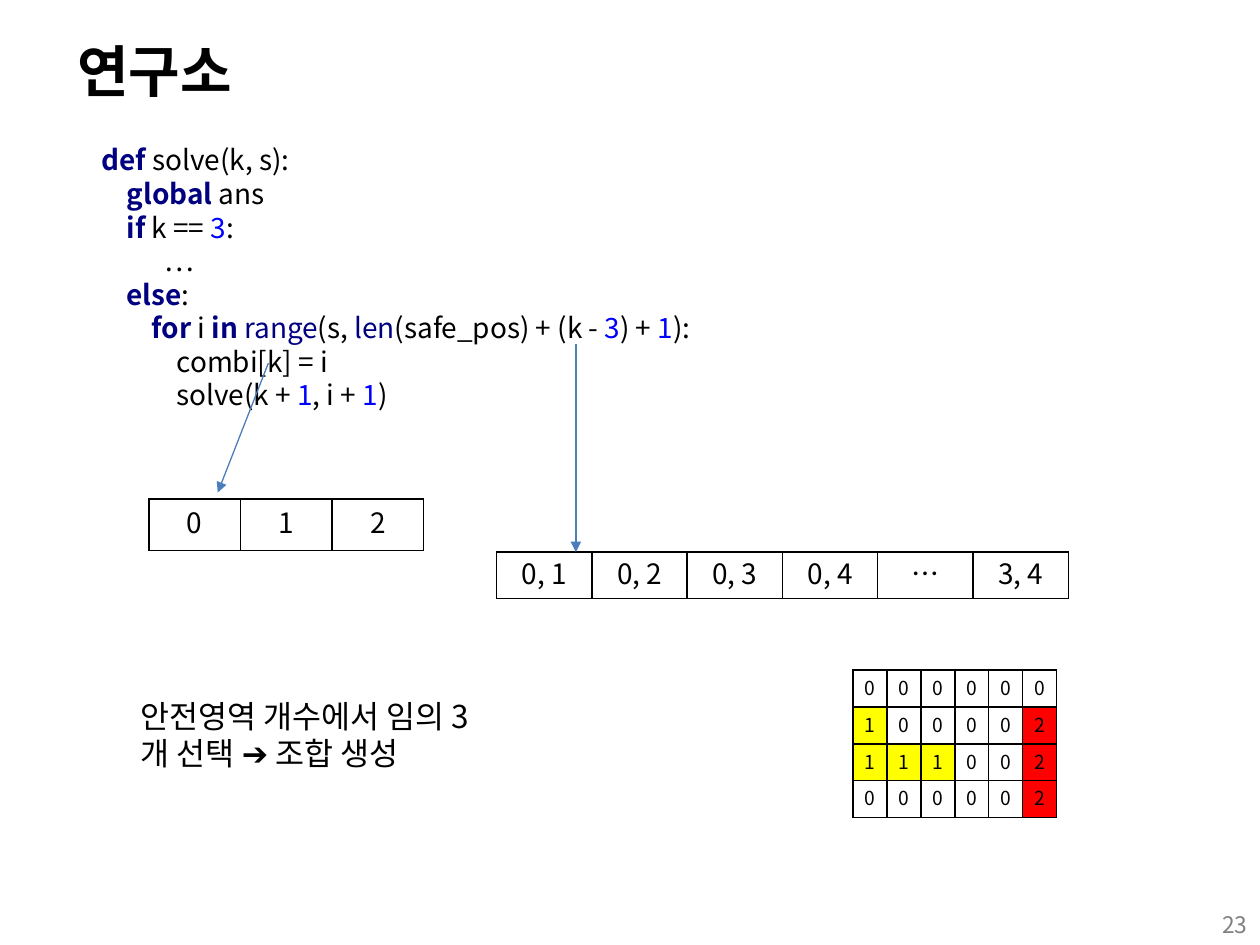
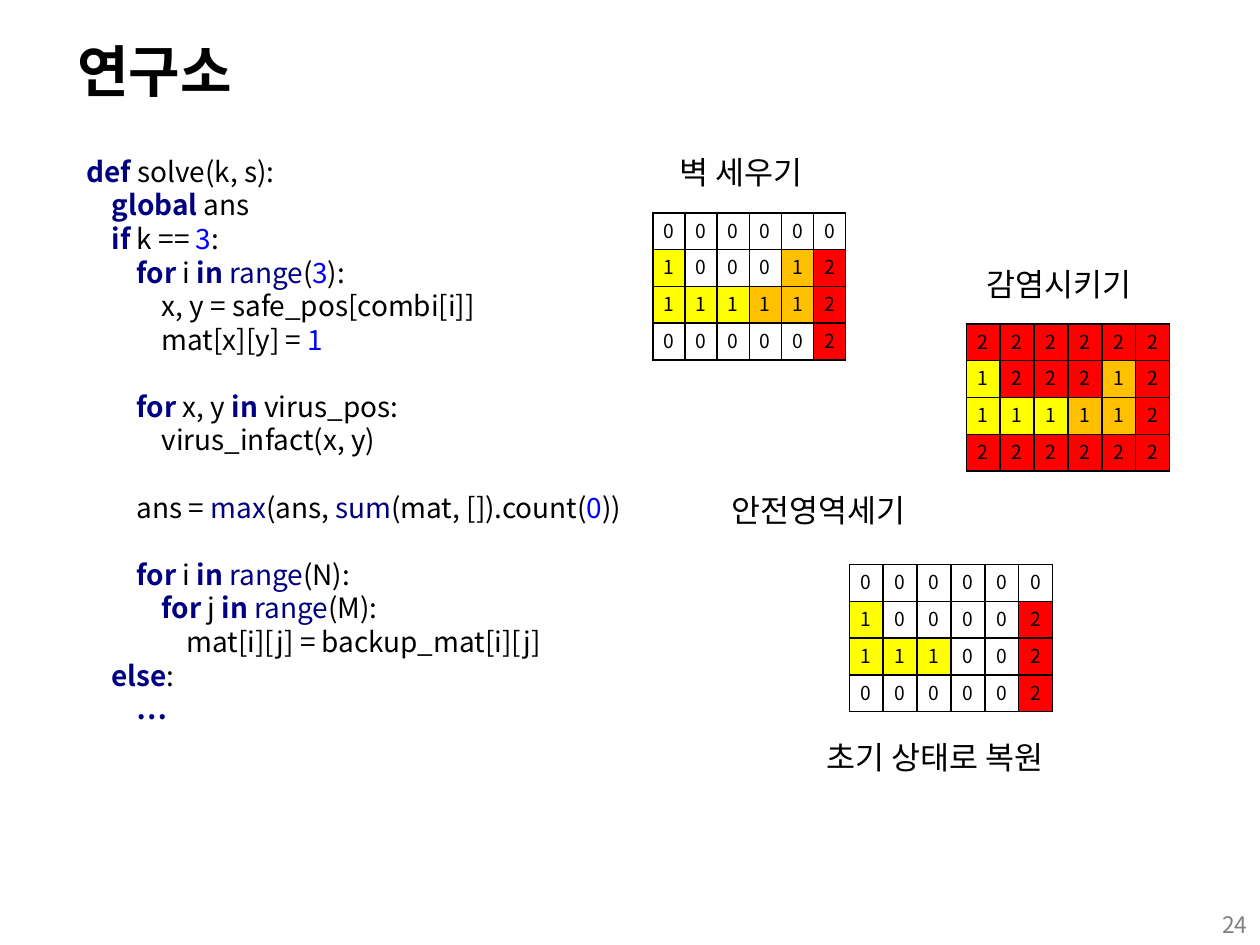
from dataclasses import dataclass
from itertools import groupby

from lxml.etree import SubElement
from pptx import Presentation
from pptx.dml.color import RGBColor
from pptx.enum.shapes import MSO_CONNECTOR, MSO_SHAPE
from pptx.enum.text import MSO_ANCHOR, MSO_AUTO_SIZE, PP_ALIGN
from pptx.oxml.ns import qn
from pptx.slide import Slide
from pptx.text.text import TextFrame
from pptx.util import Cm, Pt

FONT = "Noto Sans CJK KR"
BLACK = RGBColor(0x00, 0x00, 0x00)
WHITE = RGBColor(0xFF, 0xFF, 0xFF)
GRAY = RGBColor(0x80, 0x80, 0x80)
NAVY = RGBColor(0x00, 0x00, 0x80)
BLUE = RGBColor(0x00, 0x00, 0xFF)
ARROW_BLUE = RGBColor(0x4B, 0x7E, 0xBC)
YELLOW = RGBColor(0xFF, 0xFF, 0x00)
ORANGE = RGBColor(0xFF, 0xC0, 0x00)
RED = RGBColor(0xFF, 0x00, 0x00)

NEW_WALL = "W"
GRID_FILLS = {"1": YELLOW, NEW_WALL: ORANGE, "2": RED}
KEYWORDS = {"def", "global", "if", "else", "for", "in"}
BUILTINS = {"range", "len", "max", "sum"}

INITIAL_MAP = ["000000", "100002", "111002", "000002"]
WALLED_MAP = ["000000", "1000W2", "111WW2", "000002"]
INFECTED_MAP = ["222222", "1222W2", "111WW2", "222222"]

COMBINATION_CODE = """def solve(k, s):
    global ans
    if k == 3:
\t…
    else:
        for i in range(s, len(safe_pos) + (k - 3) + 1):
            combi[k] = i
            solve(k + 1, i + 1)"""

SIMULATION_CODE = """def solve(k, s):
    global ans
    if k == 3:
        for i in range(3):
            x, y = safe_pos[combi[i]]
            mat[x][y] = 1

        for x, y in virus_pos:
            virus_infact(x, y)

        ans = max(ans, sum(mat, []).count(0))

        for i in range(N):
            for j in range(M):
                mat[i][j] = backup_mat[i][j]
    else:
        …"""


@dataclass(frozen=True)
class Box:
    left: float
    top: float
    width: float
    height: float

    def lengths(self) -> tuple[Cm, Cm, Cm, Cm]:
        return Cm(self.left), Cm(self.top), Cm(self.width), Cm(self.height)


@dataclass(frozen=True)
class Label:
    text: str
    box: Box


@dataclass(frozen=True)
class Arrow:
    start: tuple[float, float]
    end: tuple[float, float]


@dataclass(frozen=True)
class MapGrid:
    rows: list[str]
    box: Box


@dataclass(frozen=True)
class ValueRow:
    values: list[str]
    box: Box


TITLE_BOX = Box(1.3, 0.76, 24.26, 2.21)
NUMBER_BOX = Box(19.48, 18.24, 5.92, 1.02)

VALUE_ROWS = [
    ValueRow(["0, 1", "0, 2", "0, 3", "0, 4", "…", "3, 4"], Box(10.01, 11.13, 11.53, 0.93)),
    ValueRow(["0", "1", "2"], Box(3, 10.06, 5.54, 1.04)),
]
ARROWS = [Arrow((11.61, 6.93), (11.61, 11.13)), Arrow((5.41, 7.32), (4.39, 9.93))]

STEP_LABELS = [
    Label("벽 세우기", Box(13.44, 2.97, 3.81, 1.02)),
    Label("감염시키기", Box(19.63, 5.21, 3.81, 1.02)),
    Label("안전영역세기", Box(14.5, 9.78, 4.67, 1.02)),
    Label("초기 상태로 복원", Box(16.41, 14.76, 5.49, 1.02)),
]
STEP_GRIDS = [
    MapGrid(WALLED_MAP, Box(13.16, 4.29, 3.89, 2.97)),
    MapGrid(INFECTED_MAP, Box(19.48, 6.53, 4.1, 2.97)),
    MapGrid(INITIAL_MAP, Box(17.12, 11.38, 4.1, 2.97)),
]


def write_text(frame: TextFrame, text: str, *, size: float, color: RGBColor = BLACK,
               bold: bool = False, align: PP_ALIGN = PP_ALIGN.LEFT,
               line_spacing: float | Pt | None = None) -> None:
    paragraph = frame.paragraphs[0]
    paragraph.alignment = align
    paragraph.line_spacing = line_spacing or Pt(1.2 * size)
    for index, line in enumerate(text.split("\n")):
        if index:
            paragraph.add_line_break()
        if not line:
            continue
        run = paragraph.add_run()
        run.text = line
        font = run.font
        font.name, font.size, font.bold = FONT, Pt(size), bold
        font.color.rgb = color
        SubElement(font._element, qn("a:ea")).set("typeface", FONT)


def token_style(token: str, keywords: set[str]) -> tuple[RGBColor, bool]:
    if token in keywords:
        return NAVY, True
    if token in BUILTINS:
        return NAVY, False
    return (BLUE if token.isdigit() else BLACK), False


def add_code(slide: Slide, code: str, box: Box, keywords: set[str]) -> None:
    shape = slide.shapes.add_shape(MSO_SHAPE.RECTANGLE, *box.lengths())
    shape.shadow.inherit = False
    shape.fill.solid()
    shape.fill.fore_color.rgb = WHITE
    shape.line.fill.background()
    frame = shape.text_frame
    frame.word_wrap = True
    frame.vertical_anchor = MSO_ANCHOR.MIDDLE
    words = groupby(code, key=lambda letter: letter.isalnum() or letter in "_…")
    tokens = ["".join(letters) for _, letters in words]
    for (color, bold), group in groupby(tokens, key=lambda token: token_style(token, keywords)):
        write_text(frame, "".join(group), size=16, color=color, bold=bold)


def add_label(slide: Slide, label: Label, *, size: float = 18, color: RGBColor = BLACK,
              align: PP_ALIGN = PP_ALIGN.LEFT) -> None:
    frame = slide.shapes.add_textbox(*label.box.lengths()).text_frame
    frame.word_wrap = True
    frame.auto_size = MSO_AUTO_SIZE.NONE
    write_text(frame, label.text, size=size, color=color, align=align)


def add_borders(cell) -> None:
    properties = cell._tc.get_or_add_tcPr()
    for side in ("lnL", "lnR", "lnT", "lnB"):
        line = SubElement(properties, qn(f"a:{side}"), w=str(Pt(1)))
        fill = SubElement(line, qn("a:solidFill"))
        SubElement(fill, qn("a:srgbClr"), val=str(BLACK))


def add_table(slide: Slide, rows: list, box: Box, *, size: float, tight: bool = False) -> None:
    table = slide.shapes.add_table(len(rows), len(rows[0]), *box.lengths()).table
    table.first_row = table.horz_banding = False
    for row_index, values in enumerate(rows):
        for column_index, value in enumerate(values):
            cell = table.cell(row_index, column_index)
            cell.vertical_anchor = MSO_ANCHOR.MIDDLE
            if tight:
                cell.margin_left = cell.margin_right = cell.margin_top = Cm(0.03)
                cell.margin_bottom = Cm(0)
            add_borders(cell)
            if value in GRID_FILLS and tight:
                cell.fill.solid()
                cell.fill.fore_color.rgb = GRID_FILLS[value]
            else:
                cell.fill.background()
            text = "1" if value == NEW_WALL else value
            write_text(cell.text_frame, text, size=size, align=PP_ALIGN.CENTER)


def add_map(slide: Slide, grid: MapGrid) -> None:
    add_table(slide, grid.rows, grid.box, size=11, tight=True)


def add_arrow(slide: Slide, arrow: Arrow) -> None:
    points = [Cm(value) for value in (*arrow.start, *arrow.end)]
    connector = slide.shapes.add_connector(MSO_CONNECTOR.STRAIGHT, *points)
    connector.line.color.rgb = ARROW_BLUE
    connector.line.width = Pt(0.75)
    SubElement(connector.line._get_or_add_ln(), qn("a:tailEnd"), type="triangle")
    SubElement(connector._element.spPr, qn("a:effectLst"))


def add_titled_slide(presentation, number: int) -> Slide:
    slide = presentation.slides.add_slide(presentation.slide_layouts[5])
    title = slide.shapes.title
    title.left, title.top, title.width, title.height = TITLE_BOX.lengths()
    frame = title.text_frame
    frame.vertical_anchor = MSO_ANCHOR.TOP
    frame.auto_size = MSO_AUTO_SIZE.NONE
    write_text(frame, "연구소", size=32, bold=True, line_spacing=0.9)
    add_label(slide, Label(str(number), NUMBER_BOX), size=13, color=GRAY, align=PP_ALIGN.RIGHT)
    return slide


def build_combination_slide(presentation) -> None:
    slide = add_titled_slide(presentation, 23)
    add_code(slide, COMBINATION_CODE, Box(1.8, 2.72, 22.5, 5.74), KEYWORDS)
    add_map(slide, MapGrid(INITIAL_MAP, Box(17.2, 13.51, 4.1, 2.97)))
    for row in VALUE_ROWS:
        add_table(slide, [row.values], row.box, size=16)
    for arrow in ARROWS:
        add_arrow(slide, arrow)
    add_label(slide, Label("안전영역 개수에서 임의 3개 선택 ➔ 조합 생성", Box(2.59, 13.92, 7.39, 1.8)))


def build_simulation_slide(presentation) -> None:
    slide = add_titled_slide(presentation, 24)
    add_code(slide, SIMULATION_CODE, Box(1.5, 2.92, 13.59, 11.89), KEYWORDS | {"…"})
    for label in STEP_LABELS:
        add_label(slide, label)
    for grid in STEP_GRIDS:
        add_map(slide, grid)


def main() -> None:
    presentation = Presentation()
    presentation.slide_width, presentation.slide_height = Cm(25.4), Cm(19.05)
    build_combination_slide(presentation)
    build_simulation_slide(presentation)
    presentation.save("out.pptx")


if __name__ == "__main__":
    main()
